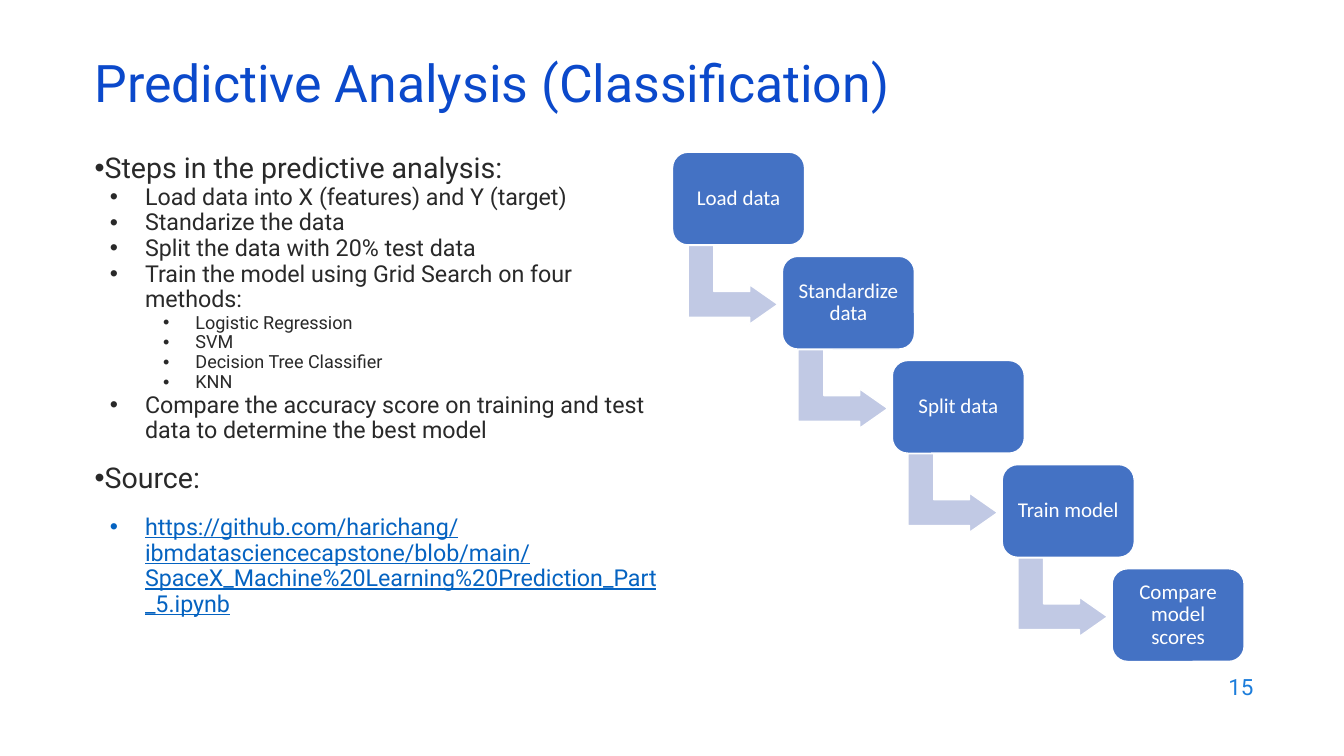
from pptx import Presentation
from pptx.dml.color import RGBColor
from pptx.enum.shapes import MSO_SHAPE as Shape
from pptx.enum.text import MSO_ANCHOR as Anchor, PP_ALIGN as Align
from pptx.oxml import parse_xml
from pptx.oxml.ns import nsdecls
from pptx.util import Inches, Pt

# Content
TITLE = "Predictive Analysis (Classification)"
PAGE_NUMBER = "15"
STAGES = ["Load data", "Standardize data", "Split data", "Train model",
          "Compare model scores"]
LINK = ("https://github.com/harichang/ibmdatasciencecapstone/blob/main/"
        "SpaceX_Machine%20Learning%20Prediction_Part_5.ipynb")
# (level, text, space before in points)
OUTLINE = [
    (0, "Steps in the predictive analysis:", 0),
    (1, "Load data into X (features) and Y (target)", 0),
    (1, "Standarize the data", 0),
    (1, "Split the data with 20% test data", 0),
    (1, "Train the model using Grid Search on four methods:", 0),
    (2, "Logistic Regression", 0),
    (2, "SVM", 0),
    (2, "Decision Tree Classifier", 0),
    (2, "KNN", 0),
    (1, "Compare the accuracy score on training and test data "
        "to determine the best model", 0),
    (0, "Source:", 14),
    (1, LINK, 14),
]

# Style: level -> (size, left margin, first-line indent)
LEVELS = {0: (20.4, 0, 0), 1: (16.6, 0.5, -0.35), 2: (12.9, 1, -0.32)}
INK, LINK_BLUE, TITLE_BLUE, PAGE_BLUE = "292929", "0563C1", "0B49CB", "1C7DDB"
STAGE_FILL, ARROW_FILL, WHITE = "4472C4", "C1C9E4", "FFFFFF"

# Staircase grid, in inches
STAIR_LEFT, STAIR_TOP = 6.67, 1.51
STEP_X, STEP_Y = 1.09, 1.033
STAGE_SIZE = (1.31, 0.92)
ARROW_SIZE = (0.78, 0.89)
ARROW_SHIFT = (0.21, 0.87)


def color(value):
    return RGBColor.from_string(value)


def style(para, size, ink, face="Roboto", spacing=None, align=Align.LEFT):
    para.alignment = align
    if spacing:
        para.line_spacing = spacing
    para.font.size = Pt(size)
    para.font.name = face
    para.font.color.rgb = color(ink)


def add_text_box(page, left, top, width, height, anchor=Anchor.TOP):
    box = page.shapes.add_textbox(*map(Inches, (left, top, width, height)))
    box.text_frame.word_wrap = True
    box.text_frame.vertical_anchor = anchor
    return box.text_frame


def add_bullet(para, level):
    _, margin, indent = LEVELS[level]
    props = para._p.get_or_add_pPr()
    props.set("marL", str(Inches(margin)))
    props.set("indent", str(Inches(indent)))
    props.append(parse_xml(f'<a:buFont {nsdecls("a")} typeface="Arial"/>'))
    props.append(parse_xml(f'<a:buChar {nsdecls("a")} char="•"/>'))


def add_block(page, kind, left, top, size, fill, adjustments):
    block = page.shapes.add_shape(kind, *map(Inches, (left, top, *size)))
    block.shadow.inherit = False
    block.fill.solid()
    block.fill.fore_color.rgb = color(fill)
    block.line.color.rgb = color(WHITE)
    block.line.width = Pt(1)
    for index, value in enumerate(adjustments):
        block.adjustments[index] = value
    return block


def add_outline(page):
    frame = add_text_box(page, 0.84, 1.47, 5.82, 5.28)
    for index, (level, text, before) in enumerate(OUTLINE):
        para = frame.add_paragraph() if index else frame.paragraphs[0]
        para.level = level
        para.space_before = Pt(before)
        para.line_spacing = 0.92
        add_bullet(para, level)
        span = para.add_run()
        span.text = text
        is_link = text == LINK
        style(para, LEVELS[level][0], LINK_BLUE if is_link else INK)
        if is_link:
            para.font.underline = True


def add_staircase(page):
    for index, label in enumerate(STAGES):
        left = STAIR_LEFT + index * STEP_X
        top = STAIR_TOP + index * STEP_Y
        if index < len(STAGES) - 1:
            arrow = add_block(page, Shape.BENT_UP_ARROW, left + ARROW_SHIFT[0],
                              top + ARROW_SHIFT[1], ARROW_SIZE, ARROW_FILL,
                              (0.328, 0.25, 0.358))
            arrow.rotation = 90
        stage = add_block(page, Shape.ROUNDED_RECTANGLE, left, top,
                          STAGE_SIZE, STAGE_FILL, (0.167,))
        frame = stage.text_frame
        frame.word_wrap = True
        frame.vertical_anchor = Anchor.MIDDLE
        frame.margin_left = frame.margin_right = Inches(0.1)
        frame.margin_top = frame.margin_bottom = Inches(0.1)
        frame.text = label
        style(frame.paragraphs[0], 15, WHITE, "Calibri", 0.9, Align.CENTER)


def main():
    deck = Presentation()
    deck.slide_width, deck.slide_height = Inches(13.33), Inches(7.5)
    page = deck.slides.add_slide(deck.slide_layouts[6])

    # Page number
    number = add_text_box(page, 9.53, 6.59, 3, 0.44, Anchor.MIDDLE)
    number.text = PAGE_NUMBER
    style(number.paragraphs[0], 16, PAGE_BLUE, align=Align.RIGHT)

    add_outline(page)

    # Title
    title = add_text_box(page, 0.84, 0.59, 11.5, 0.6, Anchor.MIDDLE)
    title.text = TITLE
    style(title.paragraphs[0], 37, TITLE_BLUE, spacing=0.7)

    add_staircase(page)
    deck.save("out.pptx")


if __name__ == "__main__":
    main()
